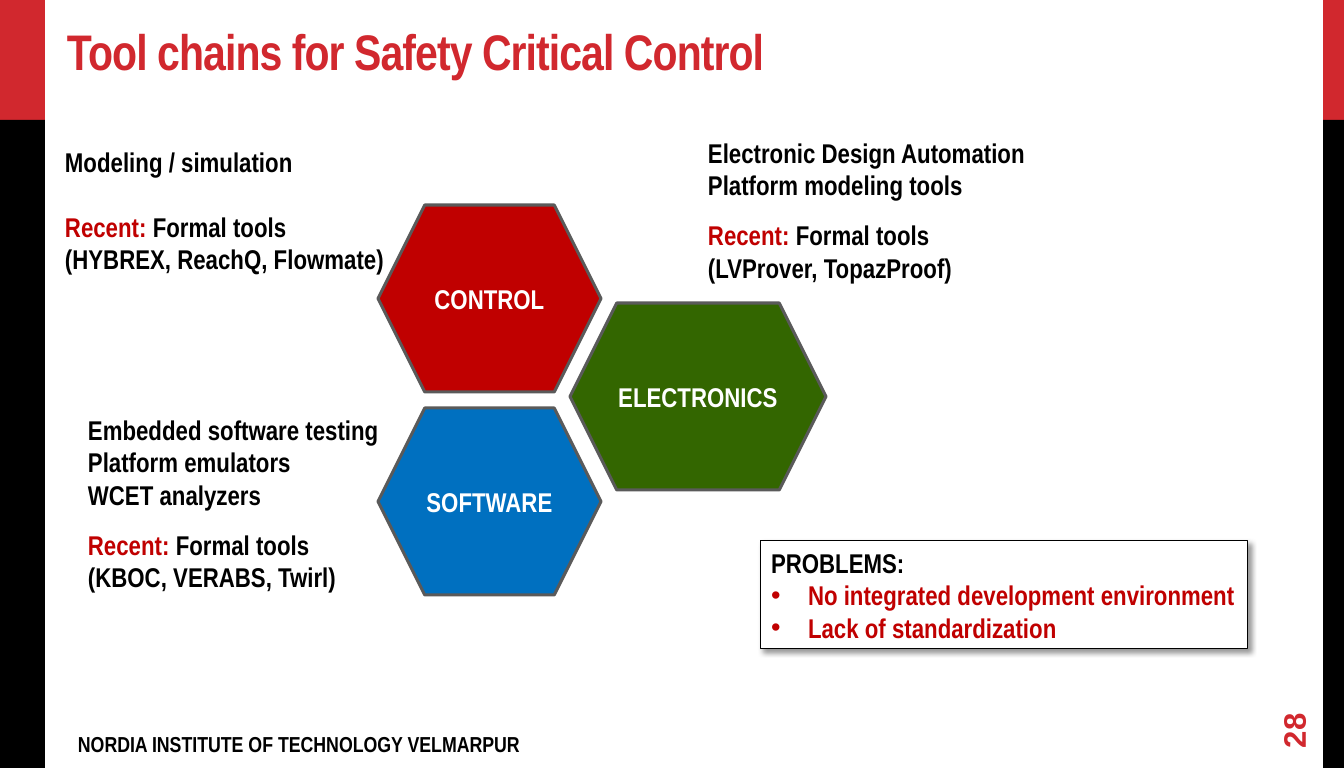
from lxml.etree import SubElement
from pptx import Presentation
from pptx.dml.color import RGBColor
from pptx.enum.shapes import MSO_SHAPE
from pptx.enum.text import MSO_ANCHOR, PP_ALIGN
from pptx.oxml.ns import qn
from pptx.util import Emu, Pt

SCALE = 914400 / 97.5
COLORS = {
    "brand": "D1282E",
    "black": "000000",
    "white": "FFFFFF",
    "red": "C00000",
    "green": "336600",
    "blue": "0070C0",
    "gray": "5A5A5A",
}
NARROW = "Arial Narrow"
RECENT = [("Recent: ", "red"), ("Formal tools", "black")]
BARS = [(0, 45), (1323, 21)]
HEXES = [
    ("CONTROL", "red", (378, 205, 223, 187)),
    ("ELECTRONICS", "green", (570, 303, 256, 187)),
    ("SOFTWARE", "blue", (378, 408, 223, 187)),
]
NOTES = [
    ((55, 140, 344, 142), ["Modeling / simulation"], 24, "(HYBREX, ReachQ, Flowmate)"),
    ((698, 131, 343, 159), ["Electronic Design Automation", "Platform modeling tools"],
     13, "(LVProver, TopazProof)"),
    ((78, 408, 316, 192), ["Embedded software testing", "Platform emulators", "WCET analyzers"],
     13, "(KBOC, VERABS, Twirl)"),
]
ISSUES = ["No integrated development environment", "Lack of standardization"]


def px(size):
    return Emu(round(size * SCALE))


def tint(name):
    return RGBColor.from_string(COLORS[name])


def apply(target, values):
    for key, value in values.items():
        setattr(target, key, value)


def add_run(para, text, color="black", size=20, face=NARROW):
    run = para.add_run()
    run.text = text
    apply(run.font, {"name": face, "size": Pt(size), "bold": True})
    run.font.color.rgb = tint(color)
    return run


def set_frame(frame, side=10, top=5, anchor=MSO_ANCHOR.TOP):
    apply(frame, {
        "word_wrap": True,
        "vertical_anchor": anchor,
        "margin_left": px(side),
        "margin_right": px(side),
        "margin_top": px(top),
        "margin_bottom": px(top),
    })


def add_box(slide, place, side=10, top=5, anchor=MSO_ANCHOR.TOP):
    box = slide.shapes.add_textbox(*map(px, place))
    set_frame(box.text_frame, side, top, anchor)
    return box


def add_label(slide, place, text, color, size, face=NARROW, anchor=MSO_ANCHOR.TOP):
    box = add_box(slide, place, 11, 6, anchor)
    return box, add_run(box.text_frame.paragraphs[0], text, color, size, face)


def add_form(slide, kind, place, fill, line=None, width=0):
    form = slide.shapes.add_shape(kind, *map(px, place))
    form.shadow.inherit = False
    form.fill.solid()
    form.fill.fore_color.rgb = tint(fill)
    if line:
        form.line.color.rgb = tint(line)
        form.line.width = Pt(width)
    else:
        form.line.fill.background()
    return form


def add_hex(slide, text, fill, place):
    form = add_form(slide, MSO_SHAPE.HEXAGON, place, fill, "gray", 2.25)
    set_frame(form.text_frame, 0, 0, MSO_ANCHOR.MIDDLE)
    para = form.text_frame.paragraphs[0]
    para.alignment = PP_ALIGN.CENTER
    add_run(para, text, "white")


def add_note(slide, place, heads, gap, tools):
    frame = add_box(slide, place).text_frame
    lines = [[(head, "black")] for head in heads] + [RECENT, [(tools, "black")]]
    for index, parts in enumerate(lines):
        para = frame.add_paragraph() if index else frame.paragraphs[0]
        if parts is RECENT:
            para.space_before = Pt(gap)
        for text, color in parts:
            add_run(para, text, color)


def add_shade(form):
    effects = form._element.spPr.find(qn("a:effectLst"))
    shade = SubElement(effects, qn("a:outerShdw"), blurRad=str(Pt(4)), dist=str(Pt(3)),
                       dir="2700000", algn="tl", rotWithShape="0")
    color = SubElement(shade, qn("a:srgbClr"), val=COLORS["black"])
    SubElement(color, qn("a:alpha"), val="40000")


def add_bullet(para):
    props = para._p.get_or_add_pPr()
    indent = px(37)
    props.set("marL", str(indent))
    props.set("indent", str(-indent))
    SubElement(props, qn("a:buFont"), typeface="Arial")
    SubElement(props, qn("a:buChar"), char="•")


def add_issues(slide):
    form = add_form(slide, MSO_SHAPE.RECTANGLE, (761, 541, 487, 108), "white", "black", 0.75)
    add_shade(form)
    frame = form.text_frame
    set_frame(frame)
    head = frame.paragraphs[0]
    head.alignment = PP_ALIGN.LEFT
    add_run(head, "PROBLEMS:")
    for issue in ISSUES:
        para = frame.add_paragraph()
        para.alignment = PP_ALIGN.LEFT
        add_bullet(para)
        add_run(para, issue, "red")


def main():
    deck = Presentation()
    apply(deck, {"slide_width": px(1344), "slide_height": px(768)})
    slide = deck.slides.add_slide(deck.slide_layouts[6])
    for left, width in BARS:
        add_form(slide, MSO_SHAPE.RECTANGLE, (left, 0, width, 120), "brand")
        add_form(slide, MSO_SHAPE.RECTANGLE, (left, 120, width, 648), "black")
    title = add_label(slide, (56, 18, 1254, 68), "Tool chains for Safety Critical Control",
                      "brand", 36.9, anchor=MSO_ANCHOR.BOTTOM)[1]
    title.font._element.set("spc", "-70")
    add_label(slide, (67, 725, 817, 33), "NORDIA INSTITUTE OF TECHNOLOGY VELMARPUR", "black", 16)
    page = add_label(slide, (1254, 703, 79, 33), "28", "brand", 23, "Arial", MSO_ANCHOR.MIDDLE)[0]
    page.rotation = 270
    for item in HEXES:
        add_hex(slide, *item)
    for item in NOTES:
        add_note(slide, *item)
    add_issues(slide)
    deck.save("out.pptx")


if __name__ == "__main__":
    main()
